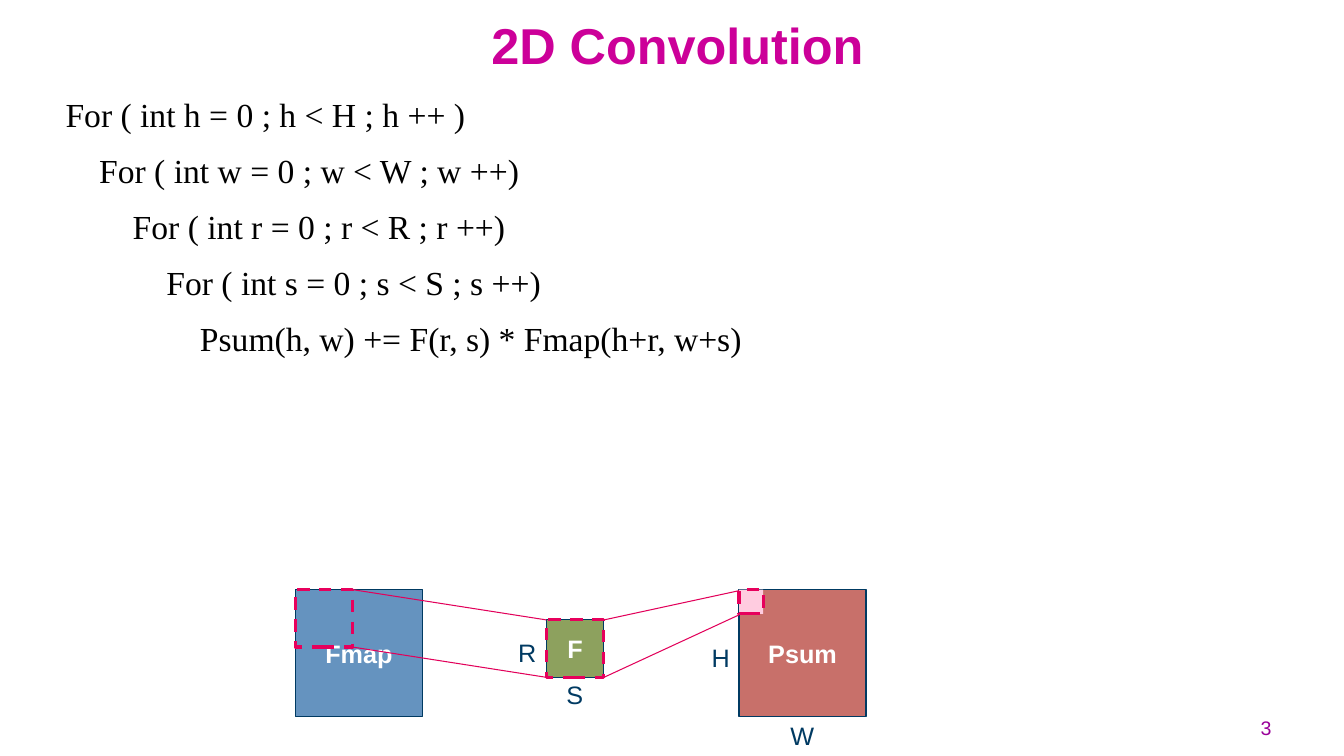
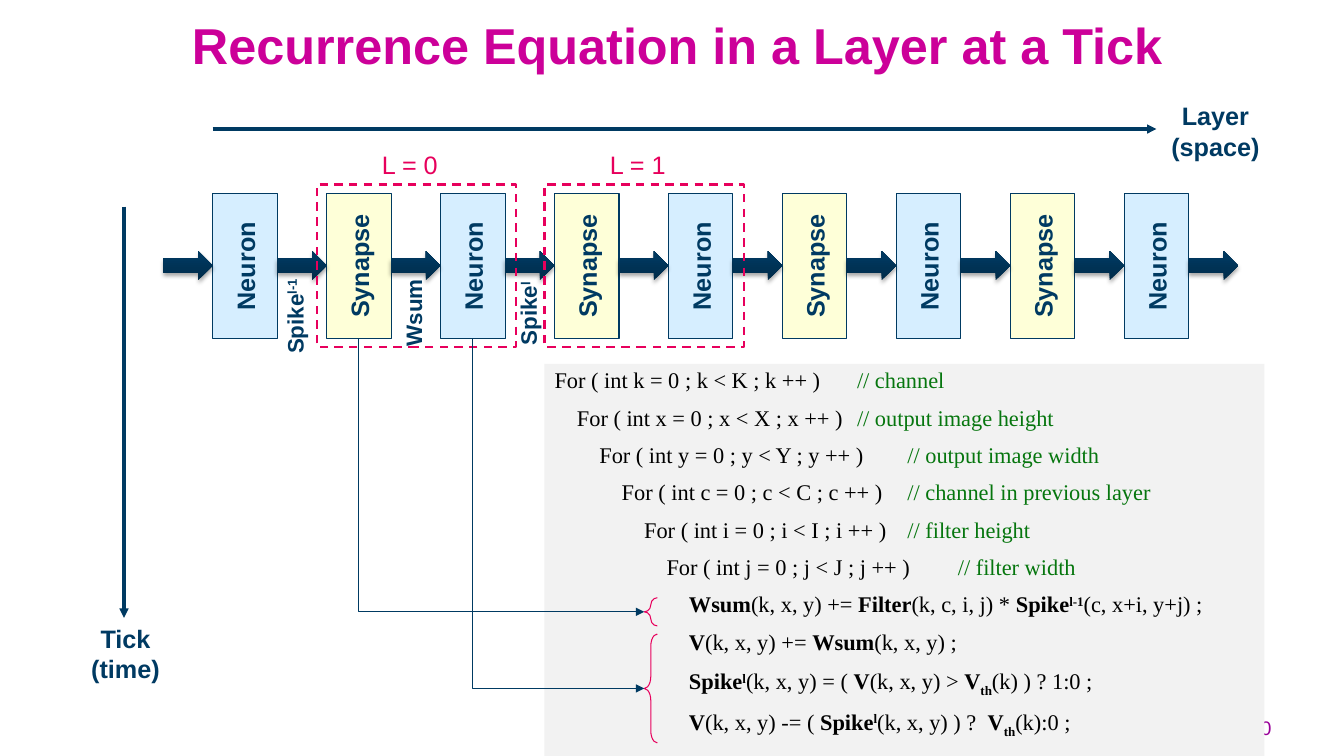
from lxml import etree
from pptx import Presentation
from pptx import util as u
from pptx.dml.color import RGBColor
from pptx.enum import dml, shapes, text
from pptx.oxml import ns

# Shared look
MAGENTA, PURPLE, NAVY = "CC0099", "990099", "003A62"
PINK, ROSE, BLACK, WHITE = "E7005C", "E2005A", "000000", "FFFFFF"
GREEN, GREY = "06760E", "F2F2F2"
SANS, SERIF = "Arial", "Times New Roman"
RECT = shapes.MSO_SHAPE.RECTANGLE

# Formulas: (text, style) pieces
SPIKE_IN = [("Spike", "b"), ("l-1", "sup")]
SPIKE_OUT = [("Spike", "b"), ("l", "sup")]
V_TH = [("V", "b"), ("th", "sub")]
FORMULAS = [
    [("Wsum", "b"), ("(k, x, y) += ", ""), ("Filter", "b"),
     ("(k, c, i, j) * ", ""), *SPIKE_IN, ("(c, x+i, y+j) ;", "")],
    [("V", "b"), ("(k, x, y) += ", ""), ("Wsum", "b"), ("(k, x, y) ;", "")],
    [*SPIKE_OUT, ("(k, x, y) = ( ", ""), ("V", "b"), ("(k, x, y) > ", ""),
     *V_TH, ("(k) ) ? 1:0 ;", "")],
    [("V", "b"), ("(k, x, y) -= ( ", ""), *SPIKE_OUT,
     ("(k, x, y) ) ?  ", ""), *V_TH, ("(k):0 ;", "")],
]
LOOPS = [
    ("For ( int k = 0 ; k < K ; k ++ )", "// channel"),
    ("For ( int x = 0 ; x < X ; x ++ )", "// output image height"),
    ("For ( int y = 0 ; y < Y ; y ++ )", "// output image width"),
    ("For ( int c = 0 ; c < C ; c ++ )", "// channel in previous layer"),
    ("For ( int i = 0 ; i < I ; i ++ )", "// filter height"),
    ("For ( int j = 0 ; j < J ; j ++ )", "// filter width"),
]
CONVOLUTION = [
    "For ( int h = 0 ; h < H ; h ++ )",
    "For ( int w = 0 ; w < W ; w ++)",
    "For ( int r = 0 ; r < R ; r ++)",
    "For ( int s = 0 ; s < S ; s ++)",
    "Psum(h, w) += F(r, s) * Fmap(h+r, w+s)",
]
BASELINES = {"sup": "30000", "sub": "-25000"}


def rgb(color):
    return RGBColor.from_string(color)


def inches(*lengths):
    return [u.Inches(v) for v in lengths]


def add_xml(parent, tag, **attrs):
    return etree.SubElement(parent, ns.qn(tag), attrs)


def place(sp, box):
    sp.left, sp.top, sp.width, sp.height = inches(*box)


def style(p, size, color, bold=False, font=SANS, align=None):
    p.font.size, p.font.name, p.font.bold = u.Pt(size), font, bold
    p.font.color.rgb = rgb(color)
    if align is not None:
        p.alignment = align


def set_line(line, color, width, dashed=False):
    line.color.rgb = rgb(color)
    line.width = u.Pt(width)
    if dashed:
        line.dash_style = dml.MSO_LINE.DASH


# Kinds of element
def new_slide(prs, title, number):
    s = prs.slides.add_slide(prs.slide_layouts[1])
    sp = s.shapes.title
    place(sp, (0.56, 0.17, 12.32, 0.62))
    tf = sp.text_frame
    tf.text = title
    tf.auto_size = text.MSO_AUTO_SIZE.NONE
    tf.vertical_anchor = text.MSO_ANCHOR.MIDDLE
    p = tf.paragraphs[0]
    p.line_spacing = 0.87
    style(p, 36, MAGENTA, True, align=text.PP_ALIGN.CENTER)
    add_label(s, (10.32, 7.05, 2.39, 0.45), number, 14, PURPLE,
              align=text.PP_ALIGN.RIGHT, wrap=True)
    return s


def add_label(s, box, words, size=18, color=NAVY, bold=False, align=None,
              wrap=False, rotation=0):
    sp = s.shapes.add_textbox(*inches(*box))
    sp.rotation = rotation
    tf = sp.text_frame
    tf.text = words
    tf.word_wrap = wrap
    for p in tf.paragraphs:
        style(p, size, color, bold, align=align)
    return sp


def add_box(s, box, fill=None, line=NAVY, width=0.75, dashed=False, words="",
            color=WHITE, rotation=0, preset=RECT):
    sp = s.shapes.add_shape(preset, *inches(*box))
    sp.shadow.inherit = False
    sp.rotation = rotation
    if fill:
        sp.fill.solid()
        sp.fill.fore_color.rgb = rgb(fill)
    else:
        sp.fill.background()
    set_line(sp.line, line, width, dashed)
    if words:
        tf = sp.text_frame
        tf.text = words
        tf.word_wrap = False
        tf.vertical_anchor = text.MSO_ANCHOR.MIDDLE
        style(tf.paragraphs[0], 18, color, True, align=text.PP_ALIGN.CENTER)
    return sp


def add_line(s, start, end, color=NAVY, width=0.75, arrow=False,
             kind=shapes.MSO_CONNECTOR.STRAIGHT):
    c = s.shapes.add_connector(kind, *inches(*start, *end))
    set_line(c.line, color, width)
    if arrow:
        add_xml(c.line._get_or_add_ln(), "a:tailEnd", type="triangle")
    add_xml(c._element.spPr, "a:effectLst")
    return c


def add_down_right_arrow(s, start, end):
    """One bend: down first, then right (a quarter-turned elbow)."""
    (x1, y1), (x2, y2) = start, end
    cx, cy, dx, dy = (x1 + x2) / 2, (y1 + y2) / 2, x2 - x1, y2 - y1
    c = add_line(s, (cx + dy / 2, cy - dx / 2), (cx - dy / 2, cy + dx / 2),
                 arrow=True, kind=shapes.MSO_CONNECTOR.ELBOW)
    spPr = c._element.spPr
    spPr.find(ns.qn("a:xfrm")).set("rot", "16200000")
    spPr.find(ns.qn("a:prstGeom")).set("prst", "bentConnector2")


def add_flow_arrow(s, box):
    sp = s.shapes.add_shape(shapes.MSO_SHAPE.RIGHT_ARROW, *inches(*box))
    sp.fill.gradient()
    sp.fill.gradient_angle = 90
    for stop, color, position in zip(sp.fill.gradient_stops,
                                     ("002B49", "00385F"), (0, 0.8)):
        stop.color.rgb = rgb(color)
        stop.position = position
    sp.line.fill.background()
    effects = add_xml(sp._element.spPr, "a:effectLst")
    shadow = add_xml(effects, "a:outerShdw", blurRad=str(u.Pt(3.1)),
                     dist=str(u.Pt(1.8)), dir="5400000", rotWithShape="0")
    black = add_xml(shadow, "a:srgbClr", val=BLACK)
    add_xml(black, "a:alpha", val="35000")


def add_code(s, box, lines, size, fill=None, tab=None):
    """lines: (indent level, [(text, style), ...])."""
    sp = s.placeholders[1]
    s.shapes._spTree.append(sp._element)  # bring to front
    place(sp, box)
    if fill:
        sp.fill.solid()
        sp.fill.fore_color.rgb = rgb(fill)
    tf = sp.text_frame
    tf.auto_size = text.MSO_AUTO_SIZE.NONE
    for i, (level, pieces) in enumerate(lines):
        p = tf.add_paragraph() if i else tf.paragraphs[0]
        p.line_spacing = 0.93
        p.space_before = u.Pt(0.55 * size)
        pPr = p._p.get_or_add_pPr()
        pPr.set("marL", "0")
        pPr.set("indent", str(u.Pt(level * size)))
        add_xml(pPr, "a:buNone")
        if tab:
            add_xml(add_xml(pPr, "a:tabLst"), "a:tab",
                    pos=str(u.Inches(tab)), algn="l")
        style(p, size, BLACK, font=SERIF)
        add_pieces(p, pieces)


def add_pieces(p, pieces):
    for words, kind in pieces:
        r = p.add_run()
        r.text = words
        if kind == "comment":
            r.font.color.rgb = rgb(GREEN)
        elif kind:
            r.font.bold = True
        if kind in BASELINES:
            r.font._element.set("baseline", BASELINES[kind])


# Slides
def convolution_slide(prs):
    s = new_slide(prs, "2D Convolution", "3")
    add_code(s, (0.55, 0.92, 12.3, 5.84),
             [(i, [(line, "")]) for i, line in enumerate(CONVOLUTION)], 24)

    # Feature map, filter and partial sum
    for x, y, side, fill, words in [(2.93, 5.85, 1.26, "6593BF", "Fmap"),
                                    (5.42, 6.15, 0.57, "8DA15E", "F"),
                                    (7.33, 5.85, 1.26, "C8706A", "Psum")]:
        add_box(s, (x, y, side, side), fill, words=words)
    for x, y, words in [(5.04, 6.27, "R"), (5.52, 6.69, "S"),
                        (6.96, 6.32, "H"), (7.74, 7.1, "W")]:
        add_label(s, (x, y, 0.4, 0.4), words)

    # Sliding window and its projection
    for x, y, side, fill in [(2.93, 5.85, 0.57, None), (5.42, 6.15, 0.57, None),
                             (7.33, 5.85, 0.24, "FFCCE0")]:
        add_box(s, (x, y, side, side), fill, PINK, 2.25, dashed=True)
    for start, end in [((3.5, 5.85), (5.42, 6.15)), ((3.5, 6.42), (5.42, 6.72)),
                       ((5.99, 6.15), (7.33, 5.86)), ((5.99, 6.72), (7.33, 6.1))]:
        add_line(s, start, end, ROSE)


def recurrence_slide(prs):
    s = new_slide(prs, "Recurrence Equation in a Layer at a Tick", "10")

    # Chain of neurons and synapses
    pitch = 1.13
    kinds = [("Neuron", "D6EEFF"), ("Synapse", "FEFFD8")]
    for i in range(9):
        words, fill = kinds[i % 2]
        add_box(s, (1.71 + i * pitch, 2.32, 1.44, 0.64), fill, words=words,
                color=NAVY, rotation=270)
    for i in range(10):
        add_flow_arrow(s, (1.62 + i * pitch, 2.49, 0.49, 0.29))
    for i in range(2):
        x = 3.14 + i * 2 * pitch
        add_box(s, (x, 1.83, 1.98, 1.61), None, PINK, 1.5, dashed=True)
        add_label(s, (x + 0.55, 1.43, 0.76, 0.4), f"L = {i}", color=PINK)

    # Space and time axes
    for start, end, box, words in [
            ((2.11, 1.28), (11.47, 1.28), (11.51, 0.95, 1.09, 0.71), "Layer\n(space)"),
            ((1.23, 2.05), (1.23, 6.13), (0.8, 6.13, 0.89, 0.71), "Tick\n(time)")]:
        add_line(s, start, end, width=2.25, arrow=True)
        add_label(s, box, words, bold=True, align=text.PP_ALIGN.CENTER)

    # Loop nest
    lines = [(i, [(loop + "\t", ""), (note, "comment")])
             for i, (loop, note) in enumerate(LOOPS)]
    lines += [(len(LOOPS), formula) for formula in FORMULAS]
    add_code(s, (5.4, 3.61, 7.14, 3.89), lines, 16, GREY, tab=4)

    # Links from the chain to the formulas
    for x, top, height, curve in [(3.56, 5.93, 0.28, 0.69), (4.69, 6.29, 1.08, 0.92)]:
        brace = add_box(s, (6.39, top, 0.13, height), None, PINK,
                        preset=shapes.MSO_SHAPE.LEFT_BRACE)
        brace.adjustments[0] = curve
        add_down_right_arrow(s, (x, 3.36), (6.39, top + height / 2))

    # Signals between the boxes
    for box, words, index in [((3.66, 2.91, 0.88, 0.37), "Wsum", ""),
                              ((4.82, 2.92, 0.84, 0.37), "Spike", "l"),
                              ((2.44, 2.94, 0.97, 0.37), "Spike", "l-1")]:
        sp = add_label(s, box, words, 16, bold=True, rotation=270)
        if index:
            add_pieces(sp.text_frame.paragraphs[0], [(index, "sup")])


def main():
    prs = Presentation()
    prs.slide_width, prs.slide_height = inches(13.33, 7.5)
    convolution_slide(prs)
    recurrence_slide(prs)
    prs.save("out.pptx")


if __name__ == "__main__":
    main()
